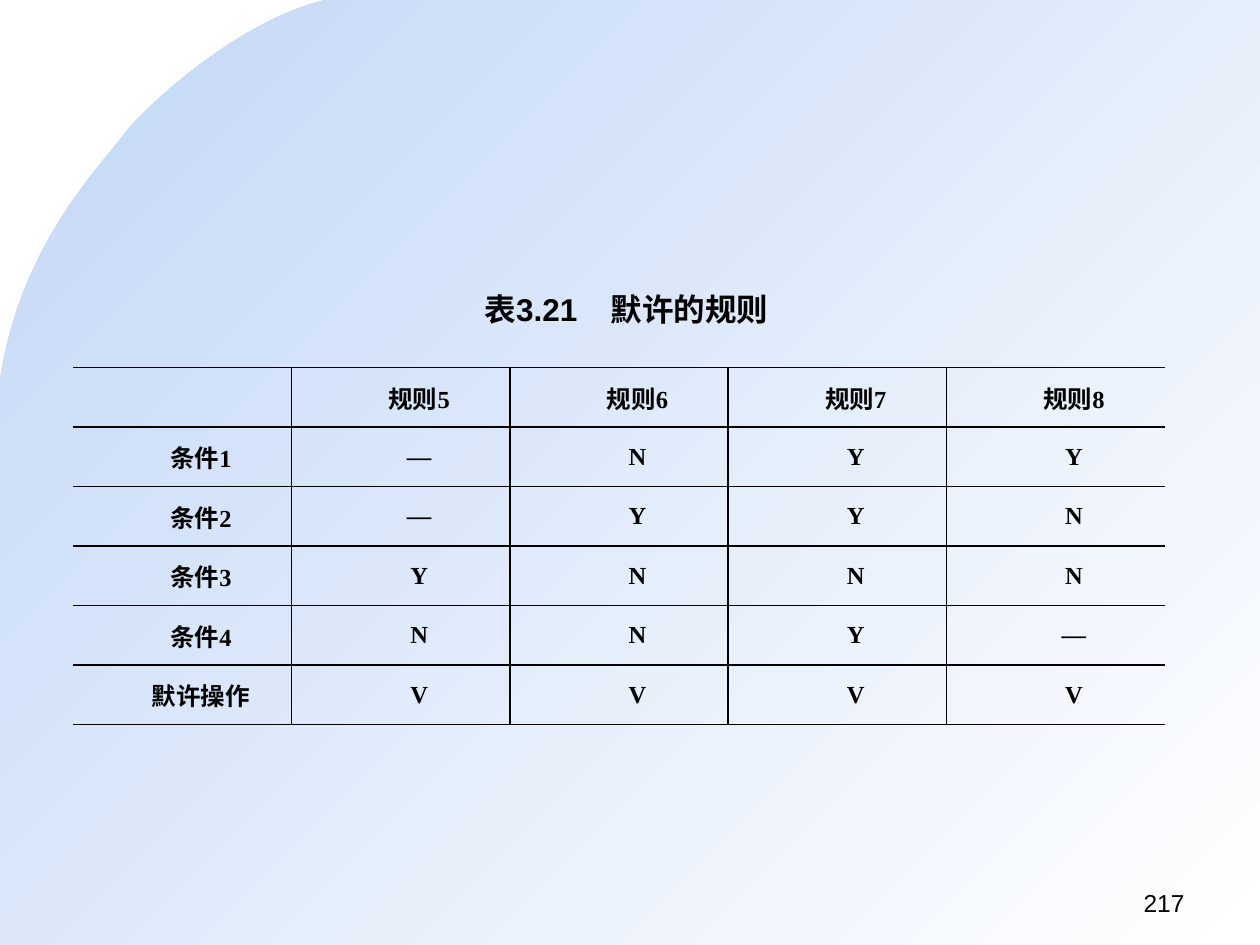
from lxml import etree
from pptx import Presentation
from pptx.dml.color import RGBColor
from pptx.enum.text import MSO_ANCHOR, PP_ALIGN
from pptx.oxml.ns import qn
from pptx.util import Cm, Pt

CENTER, RIGHT, LEFT = PP_ALIGN.CENTER, PP_ALIGN.RIGHT, PP_ALIGN.LEFT
MIDDLE = MSO_ANCHOR.MIDDLE

COLORS = {"ink": "000000", "blue": "C2D7F6", "white": "FFFFFF"}
TITLE = "表3.21\t默许的规则"
PAGE_NUMBER = "217"
RULES = [
    ["", "规则5", "规则6", "规则7", "规则8"],
    ["条件1", "—", "N", "Y", "Y"],
    ["条件2", "—", "Y", "Y", "N"],
    ["条件3", "Y", "N", "N", "N"],
    ["条件4", "N", "N", "Y", "—"],
    ["默许操作", "V", "V", "V", "V"],
]

WIDTH, HEIGHT = 25.4, 19.05
CURVES = [
    [(6.55, 0), (4.83, 0.41), (2.95, 2.11), (2.49, 2.72)],
    [(2.49, 2.72), (2.03, 3.35), (0.41, 4.93), (0, 7.65)],
]
CURVE_STEPS = 16
TABLE_LEFT, TABLE_TOP = 1.48, 7.41
COL_WIDTH, ROW_HEIGHT = 4.4, 1.2


def rgb(name):
    return RGBColor.from_string(COLORS[name])


def curve_point(curve, t):
    weights = ((1 - t) ** 3, 3 * t * (1 - t) ** 2, 3 * t ** 2 * (1 - t), t ** 3)
    return tuple(Cm(sum(w * pt[axis] for w, pt in zip(weights, curve)))
                 for axis in (0, 1))


def style(p, size, font, bold, align):
    p.alignment = align
    p.font.size = Pt(size)
    p.font.name = font
    p.font.bold = bold
    p.font.color.rgb = rgb("ink")


def add_backdrop(s):
    edge = [curve_point(c, i / CURVE_STEPS)
            for c in CURVES for i in range(1, CURVE_STEPS + 1)]
    corners = [(0, Cm(HEIGHT)), (Cm(WIDTH), Cm(HEIGHT)), (Cm(WIDTH), 0)]
    builder = s.shapes.build_freeform(*curve_point(CURVES[0], 0))
    builder.add_line_segments(edge + corners, close=True)
    sp = builder.convert_to_shape()
    sp.shadow.inherit = False
    sp.line.fill.background()
    sp.fill.gradient()
    sp.fill.gradient_angle = 315
    for stop, name in zip(sp.fill.gradient_stops, ("blue", "white")):
        stop.color.rgb = rgb(name)


def set_borders(cell, visible):
    tc_pr = cell._tc.get_or_add_tcPr()
    for i, side in enumerate(("lnL", "lnR", "lnT", "lnB")):
        ln = etree.Element(qn("a:" + side), w=str(Pt(1)))
        if side in visible:
            fill = etree.SubElement(ln, qn("a:solidFill"))
            etree.SubElement(fill, qn("a:srgbClr"), val=COLORS["ink"])
        else:
            etree.SubElement(ln, qn("a:noFill"))
        tc_pr.insert(i, ln)


def add_rules_table(s):
    n_rows, n_cols = len(RULES), len(RULES[0])
    table = s.shapes.add_table(
        n_rows, n_cols, Cm(TABLE_LEFT), Cm(TABLE_TOP),
        Cm(n_cols * COL_WIDTH), Cm(n_rows * ROW_HEIGHT)).table
    table.first_row = table.horz_banding = False
    for col in table.columns:
        col.width = Cm(COL_WIDTH)
    for r, row in enumerate(RULES):
        table.rows[r].height = Cm(ROW_HEIGHT)
        for c, text in enumerate(row):
            cell = table.cell(r, c)
            cell.fill.background()
            cell.vertical_anchor = MIDDLE
            cell.margin_left = cell.margin_right = Cm(0.18)
            cell.margin_top = cell.margin_bottom = 0
            visible = {"lnT", "lnB"}
            if c > 0:
                visible.add("lnL")
            if c < n_cols - 1:
                visible.add("lnR")
            set_borders(cell, visible)
            p = cell.text_frame.paragraphs[0]
            p.text = text
            p.space_before = p.space_after = Pt(1.2)
            p._p.get_or_add_pPr().set("indent", str(Cm(0.74)))
            style(p, 14, "Times New Roman", True, CENTER)


def add_text(s, text, box, size, bold, align, wrap):
    tf = s.shapes.add_textbox(*(Cm(v) for v in box)).text_frame
    tf.word_wrap = wrap
    p = tf.paragraphs[0]
    p.add_run().text = text
    style(p, size, "Arial", bold, align)


def main():
    prs = Presentation()
    prs.slide_width, prs.slide_height = Cm(WIDTH), Cm(HEIGHT)
    s = prs.slides.add_slide(prs.slide_layouts[6])
    add_backdrop(s)
    add_rules_table(s)
    add_text(s, TITLE, (9.52, 5.72, 6.27, 1.02), 18, True, LEFT, False)
    add_text(s, PAGE_NUMBER, (18.2, 17.78, 5.93, 0.89), 14, False, RIGHT, True)
    prs.save("out.pptx")


if __name__ == "__main__":
    main()
